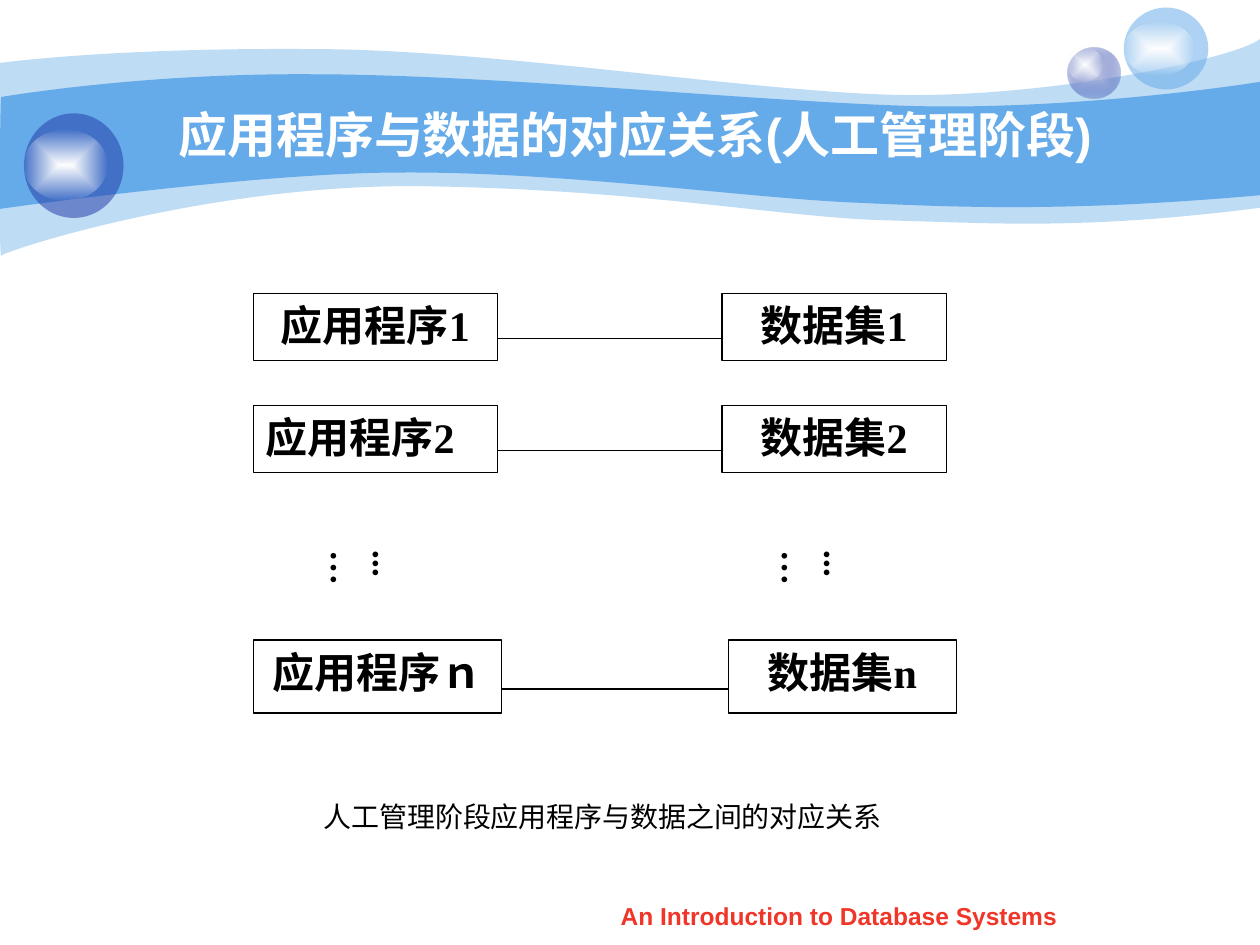
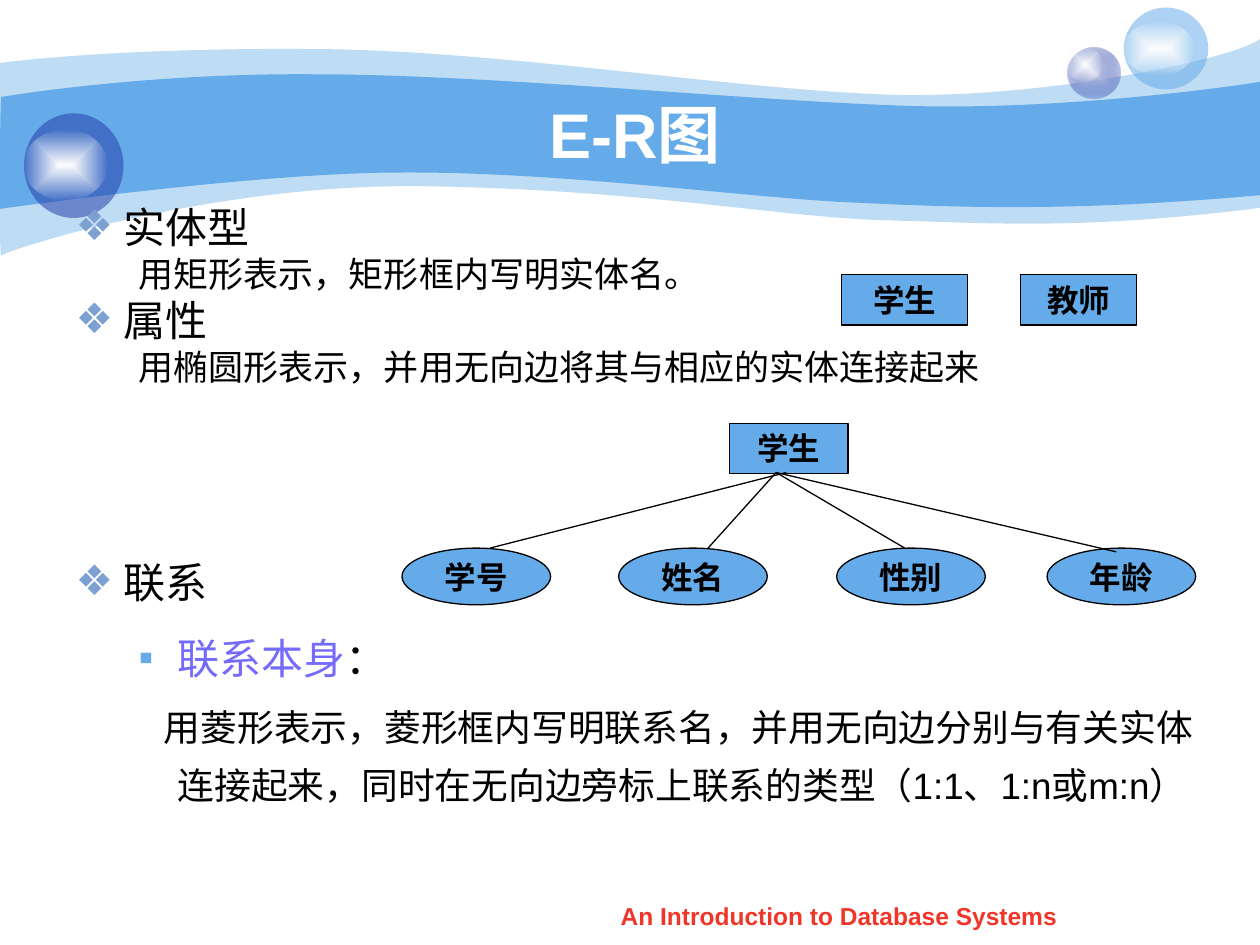
from dataclasses import dataclass

from lxml.etree import SubElement
from pptx import Presentation
from pptx.dml.color import RGBColor
from pptx.enum.shapes import MSO_CONNECTOR, MSO_SHAPE
from pptx.enum.text import MSO_ANCHOR, MSO_AUTO_SIZE, PP_ALIGN
from pptx.oxml.ns import qn
from pptx.util import Inches, Pt


@dataclass(frozen=True)
class Theme:
    black: str = "000000"
    white: str = "FFFFFF"
    clear_white: str = "FEFEFE"
    sky: str = "65AAE9"
    navy: str = "233DA9"
    lavender: str = "C6CCE8"
    bullet: str = "7DA0D3"
    violet: str = "746AFC"
    red: str = "F03628"
    sans: str = "Arial"
    serif: str = "Times New Roman"
    long_title: int = 28
    short_title: int = 36
    heading: int = 24
    note: int = 21
    detail: int = 20
    node: int = 18
    caption: int = 16
    footer: int = 14
    hairline: float = 0.75


THEME = Theme()

OUTER_WAVE = (
    (0, 0.5),
    [
        (0.24, 0.47, 1.07, 0.38, 2.47, 0.39),
        (3.86, 0.39, 5.75, 0.7, 6.99, 0.75),
        (8.22, 0.8, 9.8, 0.47, 10, 0.31),
        (10, 1.65),
        (8.58, 1.83, 7.87, 1.77, 7.05, 1.75),
        (6.22, 1.73, 5.15, 1.51, 3.43, 1.48),
        (1.72, 1.44, 0.04, 1.99, 0.01, 2.03),
        (-0.01, 2.08, 0, 0.75, 0, 0.5),
    ],
)
INNER_WAVE = (
    (0.01, 0.77),
    [
        (0.02, 0.77, 1.1, 0.58, 2.48, 0.59),
        (3.86, 0.59, 5.95, 0.8, 7.18, 0.84),
        (8.41, 0.88, 9.76, 0.69, 10, 0.65),
        (10, 1.55),
        (8.53, 1.68, 7.65, 1.65, 6.82, 1.61),
        (5.99, 1.58, 4.47, 1.36, 3.17, 1.37),
        (2.03, 1.37, -0.02, 1.66, -0.01, 1.66),
        (0, 1.66, 0, 0.77, 0.01, 0.77),
    ],
)


def apply_format(target, values):
    for name, value in values.items():
        setattr(target, name, value)


def inches(*lengths):
    return [Inches(length) for length in lengths]


def style_run(run, size, name, bold=False, color=THEME.black):
    apply_format(run.font, {"size": Pt(size), "name": name, "bold": bold})
    run.font.color.rgb = RGBColor.from_string(color)


def write_line(text_frame, text, alignment=PP_ALIGN.CENTER, **font):
    paragraph = text_frame.paragraphs[0]
    paragraph.alignment = alignment
    run = paragraph.add_run()
    run.text = text
    style_run(run, **font)


def set_opacity(shape, color, percent):
    for element in shape.element.spPr.iter(qn("a:srgbClr")):
        if element.get("val") == color:
            SubElement(element, qn("a:alpha"), val=str(percent * 1000))


def fill_solid(shape, color, opacity=100):
    shape.fill.solid()
    shape.fill.fore_color.rgb = RGBColor.from_string(color)
    if opacity < 100:
        set_opacity(shape, color, opacity)


def fill_radial(shape, center, edge, opacity):
    shape.fill.gradient()
    for stop, color, position in zip(shape.fill.gradient_stops, (center, edge), (0, 1)):
        stop.color.rgb = RGBColor.from_string(color)
        stop.position = position
    set_opacity(shape, edge, opacity)
    gradient = shape.element.spPr.find(qn("a:gradFill"))
    gradient.remove(gradient.find(qn("a:lin")))
    focus = SubElement(gradient, qn("a:path"), path="rect")
    SubElement(focus, qn("a:fillToRect"), dict.fromkeys("ltrb", "50000"))


def bend_segments(shape, segments):
    lines = iter(list(shape.element.spPr.iter(qn("a:lnTo"))))
    for segment in segments:
        first = next(lines)
        if len(segment) == 2:
            continue
        first.tag = qn("a:cubicBezTo")
        for line in (next(lines), next(lines)):
            first.append(line[0])
            line.getparent().remove(line)


def add_wave(slide, outline, opacity):
    start, segments = outline
    builder = slide.shapes.build_freeform(*inches(*start))
    builder.add_line_segments([
        inches(*segment[index:index + 2])
        for segment in segments for index in range(0, len(segment), 2)
    ])
    wave = builder.convert_to_shape()
    bend_segments(wave, segments)
    wave.shadow.inherit = False
    wave.line.fill.background()
    fill_solid(wave, THEME.sky, opacity)


def add_plain_ellipse(slide, box):
    ellipse = slide.shapes.add_shape(MSO_SHAPE.OVAL, *inches(*box))
    ellipse.shadow.inherit = False
    ellipse.line.fill.background()
    return ellipse


def add_gloss(slide, box):
    fill_radial(add_plain_ellipse(slide, box), THEME.white, THEME.clear_white, 0)


def add_backdrop(slide):
    add_wave(slide, OUTER_WAVE, 41)
    add_wave(slide, INNER_WAVE, 100)
    small_ball = add_plain_ellipse(slide, (8.47, 0.38, 0.42, 0.4))
    fill_radial(small_ball, THEME.lavender, THEME.navy, 31)
    add_gloss(slide, (8.47, 0.38, 0.28, 0.27))
    fill_solid(add_plain_ellipse(slide, (8.92, 0.06, 0.67, 0.65)), THEME.sky, 53)
    add_gloss(slide, (8.92, 0.17, 0.56, 0.43))
    fill_solid(add_plain_ellipse(slide, (0.19, 0.9, 0.79, 0.83)), THEME.navy, 53)
    add_gloss(slide, (0.19, 1.03, 0.66, 0.56))


def place_placeholder(slide, placeholder, box, anchor):
    slide.shapes.element.append(placeholder.element)
    apply_format(placeholder, dict(zip(("left", "top", "width", "height"), inches(*box))))
    apply_format(placeholder.text_frame, {
        "auto_size": MSO_AUTO_SIZE.NONE, "vertical_anchor": anchor, "word_wrap": True,
    })


def add_text(slide, box, text, wrap=True, **font):
    text_box = slide.shapes.add_textbox(*inches(*box))
    text_box.text_frame.word_wrap = wrap
    write_line(text_box.text_frame, text, **font)
    return text_box


def start_slide(presentation, layout_index, title, title_size):
    slide = presentation.slides.add_slide(presentation.slide_layouts[layout_index])
    add_backdrop(slide)
    place_placeholder(slide, slide.shapes.title, (1, 0.75, 8.08, 0.62), MSO_ANCHOR.MIDDLE)
    write_line(slide.shapes.title.text_frame, title, size=title_size,
               name=THEME.sans, bold=True, color=THEME.white)
    return slide


def add_footer(slide):
    add_text(slide, (3.43, 7.1, 6.46, 0.35), "An Introduction to Database Systems",
             size=THEME.footer, name=THEME.sans, bold=True, color=THEME.red)


def add_node(slide, box, text, size, fill, kind=MSO_SHAPE.RECTANGLE,
             alignment=PP_ALIGN.CENTER):
    node = slide.shapes.add_shape(kind, *inches(*box))
    node.shadow.inherit = False
    fill_solid(node, fill)
    node.line.width = Pt(THEME.hairline)
    node.line.color.rgb = RGBColor.from_string(THEME.black)
    is_ellipse = kind == MSO_SHAPE.OVAL
    apply_format(node.text_frame, {
        "word_wrap": not is_ellipse,
        "vertical_anchor": MSO_ANCHOR.MIDDLE if is_ellipse else MSO_ANCHOR.TOP,
    })
    write_line(node.text_frame, text, alignment, size=size, name=THEME.serif, bold=True)


def add_edge(slide, start, end):
    edge = slide.shapes.add_connector(MSO_CONNECTOR.STRAIGHT, *inches(*start, *end))
    edge.line.width = Pt(THEME.hairline)
    edge.line.color.rgb = RGBColor.from_string(THEME.black)
    SubElement(edge.element.spPr, qn("a:effectLst"))


def add_vertical_dots(slide, left):
    dots = add_text(slide, (left, 4.17, 0.53, 0.67), "...…", alignment=PP_ALIGN.LEFT,
                    size=THEME.detail, name=THEME.serif, bold=True)
    side, top, bottom = inches(0.05, 0.2, 0)
    apply_format(dots.text_frame, {
        "margin_left": side, "margin_right": side, "margin_top": top,
        "margin_bottom": bottom, "auto_size": MSO_AUTO_SIZE.SHAPE_TO_FIT_TEXT,
    })
    dots.text_frame._txBody.bodyPr.set("vert", "eaVert")


def add_list_item(paragraph, runs, size, level=0, indent=-0.31, spacing=0.8, before=5,
                  bullet=None, bullet_color=THEME.bullet):
    properties = paragraph._p.get_or_add_pPr()
    left = 0.81 if level else 0.38
    properties.set("marL", str(Inches(left)))
    properties.set("indent", str(Inches(indent)))
    if bullet:
        color = SubElement(properties, qn("a:buClr"))
        SubElement(color, qn("a:srgbClr"), val=bullet_color)
        SubElement(properties, qn("a:buChar"), char=bullet)
    else:
        SubElement(properties, qn("a:buNone"))
    apply_format(paragraph, {
        "level": level, "line_spacing": spacing, "space_before": Pt(before),
        "alignment": PP_ALIGN.LEFT,
    })
    for text, color in runs:
        run = paragraph.add_run()
        run.text = text
        style_run(run, size, THEME.sans, color=color)


def fill_list(text_frame):
    black = THEME.black
    heading = {"size": THEME.heading, "indent": -0.38, "bullet": "❖"}
    detail = {"size": THEME.detail, "level": 1}
    items = [
        ([("实体型", black)], {**heading, "before": 0}),
        ([("用矩形表示，矩形框内写明实体名。", black)], detail),
        ([("属性", black)], {**heading, "before": 6}),
        ([("用椭圆形表示，并用无向边将其与相应的实体连接起来", black)], detail),
        ([("联系", black)], {**heading, "before": 102.5}),
        ([("联系本身", THEME.violet), ("：", black)],
         {"size": THEME.heading, "level": 1, "spacing": 1.3, "before": 6,
          "bullet": "▪", "bullet_color": THEME.sky}),
        ([("用菱形表示，菱形框内写明联系名，并用无向边分别与有关实体连接起来，"
           "同时在无向边旁标上联系的类型（1:1、1:n或m:n）", black)],
         {"size": THEME.note, "level": 1, "indent": -0.11, "spacing": 1.3, "before": 5.2}),
    ]
    for index, (runs, options) in enumerate(items):
        paragraph = text_frame.add_paragraph() if index else text_frame.paragraphs[0]
        add_list_item(paragraph, runs, **options)


def build_manual_stage(presentation):
    slide = start_slide(presentation, 5, "应用程序与数据的对应关系(人工管理阶段)",
                        THEME.long_title)
    program_left = 2.01
    rows = [
        ("应用程序1", "数据集1", 2.33, 0.53, 1.94, 5.73, 1.78, PP_ALIGN.CENTER),
        ("应用程序2", "数据集2", 3.22, 0.53, 1.94, 5.73, 1.78, PP_ALIGN.JUSTIFY),
        ("应用程序ｎ", "数据集n", 5.08, 0.58, 1.97, 5.78, 1.81, PP_ALIGN.CENTER),
    ]
    for program, data, top, height, program_width, data_left, data_width, alignment in rows:
        add_node(slide, (program_left, top, program_width, height), program,
                 THEME.heading, THEME.white, alignment=alignment)
        add_node(slide, (data_left, top, data_width, height), data,
                 THEME.heading, THEME.white)
        edge_y = top + 0.67 * height
        add_edge(slide, (program_left + program_width, edge_y), (data_left, edge_y))
    for left in (2.76, 6.34):
        add_vertical_dots(slide, left)
    add_text(slide, (2.06, 6.3, 5.45, 0.4), "人工管理阶段应用程序与数据之间的对应关系",
             wrap=False, size=THEME.caption, name=THEME.serif)
    add_footer(slide)


def build_er_diagram(presentation):
    slide = start_slide(presentation, 1, "E-R图", THEME.short_title)
    body = slide.placeholders[1]
    place_placeholder(slide, body, (0.5, 1.625, 9.23, 5.51), MSO_ANCHOR.TOP)
    fill_list(body.text_frame)
    for entity, left, top, width in [("学生", 6.68, 2.18, 1), ("教师", 8.1, 2.18, 0.92),
                                     ("学生", 5.79, 3.36, 0.94)]:
        add_node(slide, (left, top, width, 0.4), entity, THEME.node, THEME.sky)
    attributes = [
        ("学号", 3.19, 6.24, (3.89, 4.35)),
        ("姓名", 4.91, 6.16, (5.62, 4.35)),
        ("性别", 6.64, 6.16, (7.18, 4.35)),
        ("年龄", 8.31, 6.16, (8.86, 4.38)),
    ]
    for attribute, left, edge_x, edge_end in attributes:
        add_node(slide, (left, 4.35, 1.18, 0.45), attribute, THEME.node, THEME.sky,
                 MSO_SHAPE.OVAL)
        add_edge(slide, (edge_x, 3.75), edge_end)
    add_footer(slide)


def main():
    presentation = Presentation()
    apply_format(presentation, {"slide_width": Inches(10), "slide_height": Inches(7.5)})
    build_manual_stage(presentation)
    build_er_diagram(presentation)
    presentation.save("out.pptx")


if __name__ == "__main__":
    main()
